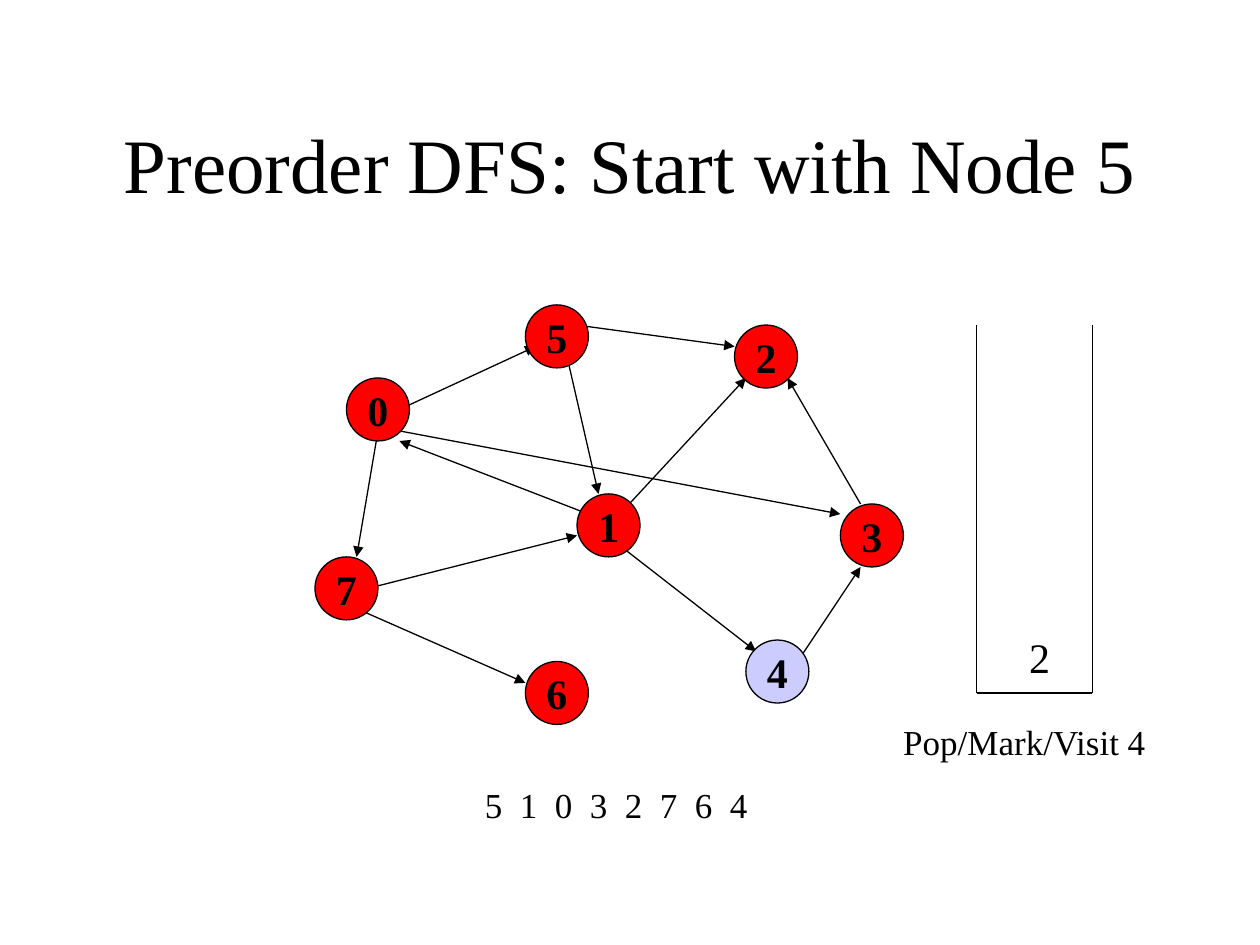
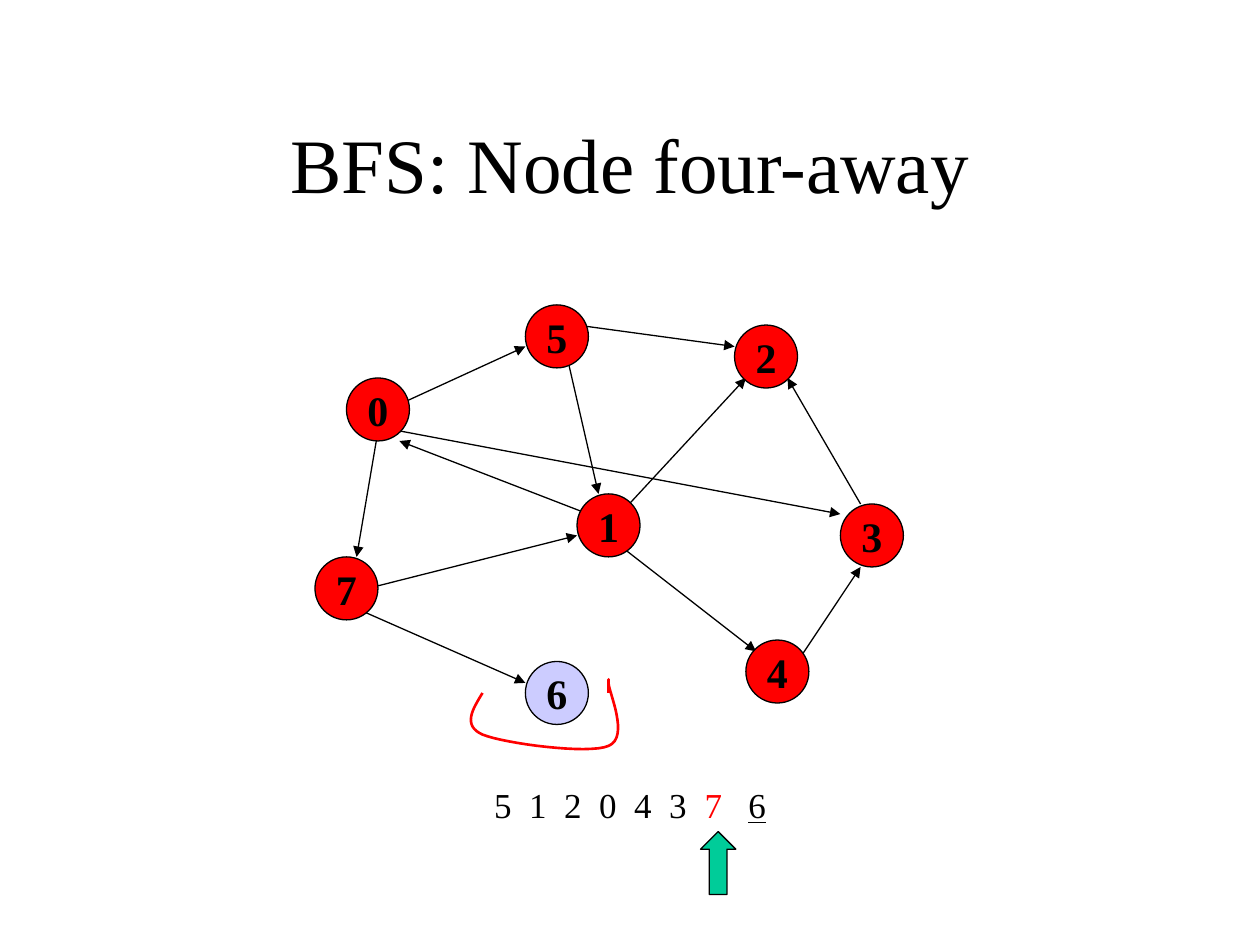
"""Build two slides that trace depth-first and breadth-first search on one graph."""
from lxml import etree
from pptx import Presentation
from pptx.dml.color import RGBColor
from pptx.enum import shapes, text
from pptx.oxml.ns import qn
from pptx.util import Inches, Pt

FONT = "Times New Roman"
COLORS = {"ink": "000000", "visited": "FF0000", "current": "CCCCFF", "pointer": "00CC99"}
RGB = {name: RGBColor.from_string(value) for name, value in COLORS.items()}
NODE_SIZE = 0.5
NODES = {
    "0": (2.75, 3), "7": (2.5, 4.42), "1": (4.58, 3.92), "5": (4.17, 2.42),
    "4": (5.92, 5.08), "3": (6.67, 4), "2": (5.83, 2.58), "6": (4.17, 5.25),
}
EDGES = {
    "1-2": (4.92, 4.08, 5.92, 3), "5-1": (4.5, 2.83, 4.75, 3.92),
    "7-1": (2.92, 4.67, 4.58, 4.25), "7-6": (2.83, 4.83, 4.17, 5.42),
    "0-7": (3, 3.42, 2.83, 4.42), "1-4": (4.92, 4.33, 6, 5.17),
    "4-3": (6.33, 5.25, 6.83, 4.5), "3-2": (6.83, 4, 6.25, 3),
    "5-2": (4.58, 2.58, 5.83, 2.75), "0-3": (3.17, 3.42, 6.67, 4.08),
    "1-0": (4.67, 4.08, 3.17, 3.5),
}
SLIDES = [
    {
        "title": "Preorder DFS: Start with Node 5",
        "current": "4",
        "edge 0-5": (3.17, 3.25, 4.25, 2.75),
        "order": [("5  1  0  3  2  7  6  4", "ink", False)],
        "order align": text.PP_ALIGN.LEFT,
    },
    {
        "title": "BFS: Node four-away",
        "current": "6",
        "edge 0-5": (3.08, 3.25, 4.17, 2.75),
        "order": [("5  1  2  0  4  3  ", "ink", False), ("7   ", "visited", False), ("6", "ink", True)],
        "order align": text.PP_ALIGN.CENTER,
    },
]


def add_line(page, ends, arrow=False):
    line = page.shapes.add_connector(shapes.MSO_CONNECTOR.STRAIGHT, *map(Inches, ends))
    line.line.color.rgb = RGB["ink"]
    line.line.width = Pt(0.75)
    properties = line._element.spPr
    if arrow:
        etree.SubElement(properties.find(qn("a:ln")), qn("a:tailEnd"), type="triangle")
    etree.SubElement(properties, qn("a:effectLst"))


def write(box, spans, size, align=text.PP_ALIGN.CENTER, before=0, bold=False, wrap=True,
          anchor=text.MSO_ANCHOR.MIDDLE):
    frame = box.text_frame
    frame.word_wrap = wrap
    frame.auto_size = text.MSO_AUTO_SIZE.NONE
    frame.vertical_anchor = anchor
    para = frame.paragraphs[0]
    para.alignment = align
    para.space_before = Pt(before)
    for words, color, underline in spans:
        span = para.add_run()
        span.text = words
        span.font.name = FONT
        span.font.size = Pt(size)
        span.font.bold = bold
        span.font.underline = underline
        span.font.color.rgb = RGB[color]


deck = Presentation()
deck.slide_width, deck.slide_height = Inches(10), Inches(7.5)
pages = []

for content in SLIDES:
    page = deck.slides.add_slide(deck.slide_layouts[5])
    pages.append(page)
    title = page.shapes.title
    title.left, title.top, title.width, title.height = map(Inches, (0.75, 0.67, 8.5, 1.25))
    write(title, [(content["title"], "ink", False)], 44)

    for ends in [*EDGES.values(), content["edge 0-5"]]:
        add_line(page, ends, arrow=True)

    for label, (left, top) in NODES.items():
        node = page.shapes.add_shape(
            shapes.MSO_SHAPE.OVAL, *map(Inches, (left, top, NODE_SIZE, NODE_SIZE)))
        node.shadow.inherit = False
        node.fill.solid()
        node.fill.fore_color.rgb = RGB["current" if label == content["current"] else "visited"]
        node.line.color.rgb = RGB["ink"]
        node.line.width = Pt(0.75)
        write(node, [(label, "ink", False)], 24, before=6, bold=True, wrap=False)

    order = page.shapes.add_textbox(*map(Inches, (3.75, 6.17, 2.5, 0.44)))
    write(order, content["order"], 20, content["order align"], 12.5, anchor=text.MSO_ANCHOR.TOP)

dfs, bfs = pages

stack_left, stack_right, stack_top, stack_bottom = 7.75, 8.67, 2.58, 5.5
for side in (stack_left, stack_right):
    add_line(dfs, (side, stack_top, side, stack_bottom))
add_line(dfs, (stack_left, stack_bottom, stack_right, stack_bottom))
stack_item = dfs.shapes.add_textbox(*map(Inches, (7.79, 4.96, 0.92, 0.5)))
write(stack_item, [("2", "ink", False)], 24, anchor=text.MSO_ANCHOR.BOTTOM)
step = dfs.shapes.add_textbox(*map(Inches, (6.92, 5.67, 2.42, 0.44)))
write(step, [("Pop/Mark/Visit 4", "ink", False)], 20, before=12.5, anchor=text.MSO_ANCHOR.TOP)

loop_start = (3.83, 5.5)
loop_curves = [
    ((3.75, 5.63), (3.67, 5.76), (3.83, 5.83)),
    ((4, 5.9), (4.67, 5.99), (4.83, 5.92)),
    ((5, 5.85), (4.83, 5.49), (4.83, 5.42)),
    ((4.83, 5.35), (4.83, 5.42), (4.83, 5.5)),
]
CURVE_STEPS = 16
loop_points = []
start = loop_start
for first, second, end in loop_curves:
    for index in range(1, CURVE_STEPS + 1):
        t = index / CURVE_STEPS
        weights = ((1 - t) ** 3, 3 * t * (1 - t) ** 2, 3 * t ** 2 * (1 - t), t ** 3)
        corners = (start, first, second, end)
        loop_points.append(tuple(
            Inches(sum(weight * corner[axis] for weight, corner in zip(weights, corners)))
            for axis in (0, 1)))
    start = end
builder = bfs.shapes.build_freeform(*map(Inches, loop_start))
builder.add_line_segments(loop_points, close=False)
loop = builder.convert_to_shape()
loop.shadow.inherit = False
loop.fill.background()
loop.line.color.rgb = RGB["visited"]
loop.line.width = Pt(1.5)

pointer = bfs.shapes.add_shape(shapes.MSO_SHAPE.UP_ARROW, *map(Inches, (5.56, 6.6, 0.28, 0.5)))
pointer.shadow.inherit = False
pointer.fill.solid()
pointer.fill.fore_color.rgb = RGB["pointer"]
pointer.line.color.rgb = RGB["ink"]
pointer.line.width = Pt(0.75)

deck.save("out.pptx")
